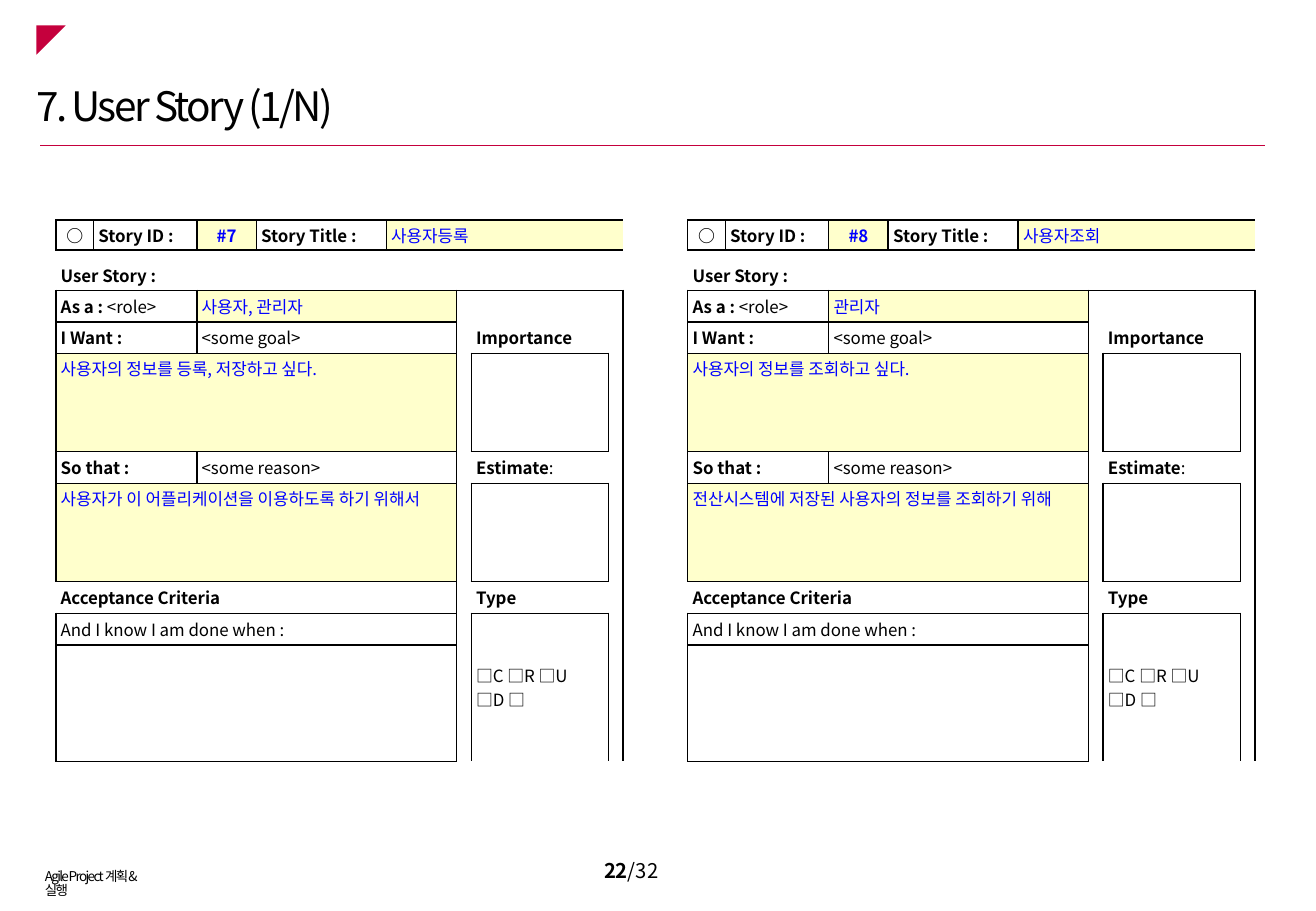
"""Build the User Story slide with two story cards."""
from itertools import product

from lxml.etree import SubElement
from pptx import Presentation
from pptx.dml.color import RGBColor
from pptx.enum.shapes import MSO_CONNECTOR, MSO_SHAPE
from pptx.enum.text import MSO_ANCHOR as ANCHOR, PP_ALIGN as ALIGN
from pptx.oxml.ns import qn
from pptx.util import Inches, Pt

FONT = "Noto Sans CJK KR"
BLACK = RGBColor(0x00, 0x00, 0x00)
BLUE = RGBColor(0x00, 0x00, 0xFF)
CRIMSON = RGBColor(0xC5, 0x00, 0x3D)
CREAM = RGBColor(0xFF, 0xFF, 0xCC)

TITLE = "7. User Story (1/N)"
FOOTER = "Agile Project 계획&실행"
PAGE = [("22", True), ("/32", False)]

STORIES = [
    dict(left=0.46, id="#7", title="사용자등록", role="사용자, 관리자",
         goal="사용자의 정보를 등록, 저장하고 싶다.",
         reason="사용자가 이 어플리케이션을 이용하도록 하기 위해서"),
    dict(left=5.66, id="#8", title="사용자조회", role="관리자",
         goal="사용자의 정보를 조회하고 싶다.",
         reason="전산시스템에 저장된 사용자의 정보를 조회하기 위해"),
]

TABLE_TOP = 1.81
COLUMNS = [0.31, 0.85, 0.49, 1.07, 0.58, 0.11, 1.13, 0.11]
ROWS = [0.25, 0.08, 0.25, 0.26, 0.26, 0.26, 0.55, 0.26, 0.26, 0.55, 0.26, 0.26, 0.96]

# row, column, row span, column span, bordered sides, paragraphs of (text, bold)
LABELS = [
    (0, 0, 1, 1, "ltrb", [[("○", True)]]),
    (0, 1, 1, 1, "ltrb", [[("Story ID :", True)]]),
    (0, 3, 1, 1, "ltrb", [[("Story Title :", True)]]),
    (1, 0, 1, 8, "t", []),
    (2, 0, 1, 2, "b", [[("User Story :", True)]]),
    (2, 2, 1, 6, "b", []),
    (3, 0, 1, 2, "ltrb", [[("As a : ", True), ("<role>", False)]]),
    (3, 5, 10, 1, "ltb", []),
    (3, 6, 1, 1, "t", []),
    (4, 0, 1, 2, "ltrb", [[("I Want :", True)]]),
    (4, 2, 1, 3, "ltrb", [[("<some goal>", False)]]),
    (4, 6, 1, 1, "b", [[("Importance", True)]]),
    (5, 6, 2, 1, "ltrb", []),
    (7, 0, 1, 2, "ltrb", [[("So that :", True)]]),
    (7, 2, 1, 3, "ltrb", [[("<some reason>", False)]]),
    (7, 6, 1, 1, "tb", [[("Estimate", True), (":", False)]]),
    (8, 6, 2, 1, "ltrb", []),
    (10, 0, 1, 5, "tb", [[("Acceptance Criteria", True)]]),
    (10, 6, 1, 1, "tb", [[("Type", True)]]),
    (11, 0, 1, 5, "ltrb", [[("And I know I am done when :", False)]]),
    (11, 6, 2, 1, "ltrb", [[("□C □R □U", False)], [("□D □", False)]]),
    (12, 0, 1, 5, "ltrb", []),
] + [(row, 7, 1, 1, "r", []) for row in range(3, 13)]

# row, column, row span, column span, story key, bold
VALUES = [
    (0, 2, 1, 1, "id", True),
    (0, 4, 1, 4, "title", False),
    (3, 2, 1, 3, "role", False),
    (5, 0, 2, 5, "goal", False),
    (8, 0, 2, 5, "reason", False),
]


def add_run(paragraph, text, size, bold=False, color=BLACK, spacing=0):
    run = paragraph.add_run()
    run.text = text
    for name, value in dict(name=FONT, size=Pt(size), bold=bold).items():
        setattr(run.font, name, value)
    run.font.color.rgb = color
    properties = run.font._element
    if spacing:
        properties.set("spc", str(int(spacing * 100)))
    SubElement(properties, qn("a:ea"), typeface=FONT)


def add_text(slide, box, runs, size, spacing=0, line_spacing=1.0,
             align=ALIGN.LEFT, anchor=ANCHOR.TOP):
    frame = slide.shapes.add_textbox(*map(Inches, box)).text_frame
    frame.word_wrap = True
    frame.vertical_anchor = anchor
    paragraph = frame.paragraphs[0]
    paragraph.alignment = align
    paragraph.line_spacing = line_spacing
    for text, bold in runs:
        add_run(paragraph, text, size, bold, spacing=spacing)


def bordered_edges(regions):
    edges = set()
    for row, column, height, width, sides in regions:
        for r, c in product(range(row, row + height), range(column, column + width)):
            candidates = [
                ("l", c == column, ("v", r, c)),
                ("r", c == column + width - 1, ("v", r, c + 1)),
                ("t", r == row, ("h", r, c)),
                ("b", r == row + height - 1, ("h", r + 1, c)),
            ]
            edges.update(edge for side, outer, edge in candidates if outer and side in sides)
    return edges


def set_borders(cell, row, column, edges):
    properties = cell._tc.get_or_add_tcPr()
    sides = {"L": ("v", row, column), "R": ("v", row, column + 1),
             "T": ("h", row, column), "B": ("h", row + 1, column)}
    for side, edge in sides.items():
        line = SubElement(properties, qn("a:ln" + side), w=str(Pt(1)))
        if edge in edges:
            fill = SubElement(line, qn("a:solidFill"))
            SubElement(fill, qn("a:srgbClr"), val=str(BLACK))
        else:
            SubElement(line, qn("a:noFill"))


def add_story(slide, story):
    cells = [(*label, BLACK) for label in LABELS]
    cells += [(*span, "ltrb", [[(story[key], bold)]], BLUE) for *span, key, bold in VALUES]
    edges = bordered_edges(cell[:5] for cell in cells)
    table = slide.shapes.add_table(
        len(ROWS), len(COLUMNS), Inches(story["left"]), Inches(TABLE_TOP),
        Inches(sum(COLUMNS)), Inches(sum(ROWS))).table
    table.first_row = table.horz_banding = False
    for column, width in zip(table.columns, COLUMNS):
        column.width = Inches(width)
    for row, height in zip(table.rows, ROWS):
        row.height = Inches(height)
    for r, c in product(range(len(ROWS)), range(len(COLUMNS))):
        cell = table.cell(r, c)
        cell.margin_left = cell.margin_right = Inches(0.04)
        cell.margin_top = cell.margin_bottom = Inches(0.02)
        set_borders(cell, r, c, edges)
        cell.fill.background()
        SubElement(cell.text_frame.paragraphs[0]._p, qn("a:endParaRPr"), sz="100")
    for row, column, height, width, _, paragraphs, color in cells:
        cell = table.cell(row, column)
        if height * width > 1:
            cell.merge(table.cell(row + height - 1, column + width - 1))
        is_value = color == BLUE
        if is_value:
            cell.fill.solid()
            cell.fill.fore_color.rgb = CREAM
        cell.vertical_anchor = ANCHOR.TOP if is_value and height > 1 else ANCHOR.MIDDLE
        frame = cell.text_frame
        for index, runs in enumerate(paragraphs):
            paragraph = frame.add_paragraph() if index else frame.paragraphs[0]
            paragraph.alignment = ALIGN.CENTER if (row, column) in [(0, 0), (0, 2)] else ALIGN.LEFT
            for text, bold in runs:
                add_run(paragraph, text, 10, bold, color)


def main():
    presentation = Presentation()
    presentation.slide_width, presentation.slide_height = Inches(10.83), Inches(7.5)
    slide = presentation.slides.add_slide(presentation.slide_layouts[6])

    add_text(slide, (0.27, 7.12, 1.12, 0.24), [(FOOTER, False)], 8, -1, 0.85)
    rule = slide.shapes.add_connector(
        MSO_CONNECTOR.STRAIGHT, Inches(0.33), Inches(1.2), Inches(10.41), Inches(1.2))
    rule.line.color.rgb = CRIMSON
    rule.line.width = Pt(0.75)
    SubElement(rule._element.spPr, qn("a:effectLst"))
    add_text(slide, (4.58, 6.98, 1.23, 0.37), PAGE, 12,
             align=ALIGN.CENTER, anchor=ANCHOR.MIDDLE)

    corner = slide.shapes.add_shape(
        MSO_SHAPE.ISOSCELES_TRIANGLE, *map(Inches, (0.3, 0.21, 0.24, 0.24)))
    corner.adjustments[0] = 1
    corner.rotation = 180
    corner.shadow.inherit = False
    corner.fill.solid()
    corner.fill.fore_color.rgb = CRIMSON
    corner.line.fill.background()

    add_text(slide, (0.2, 0.66, 5.05, 0.5), [(TITLE, False)], 24, -1.5, 0.9)
    for story in STORIES:
        add_story(slide, story)
    presentation.save("out.pptx")


if __name__ == "__main__":
    main()
